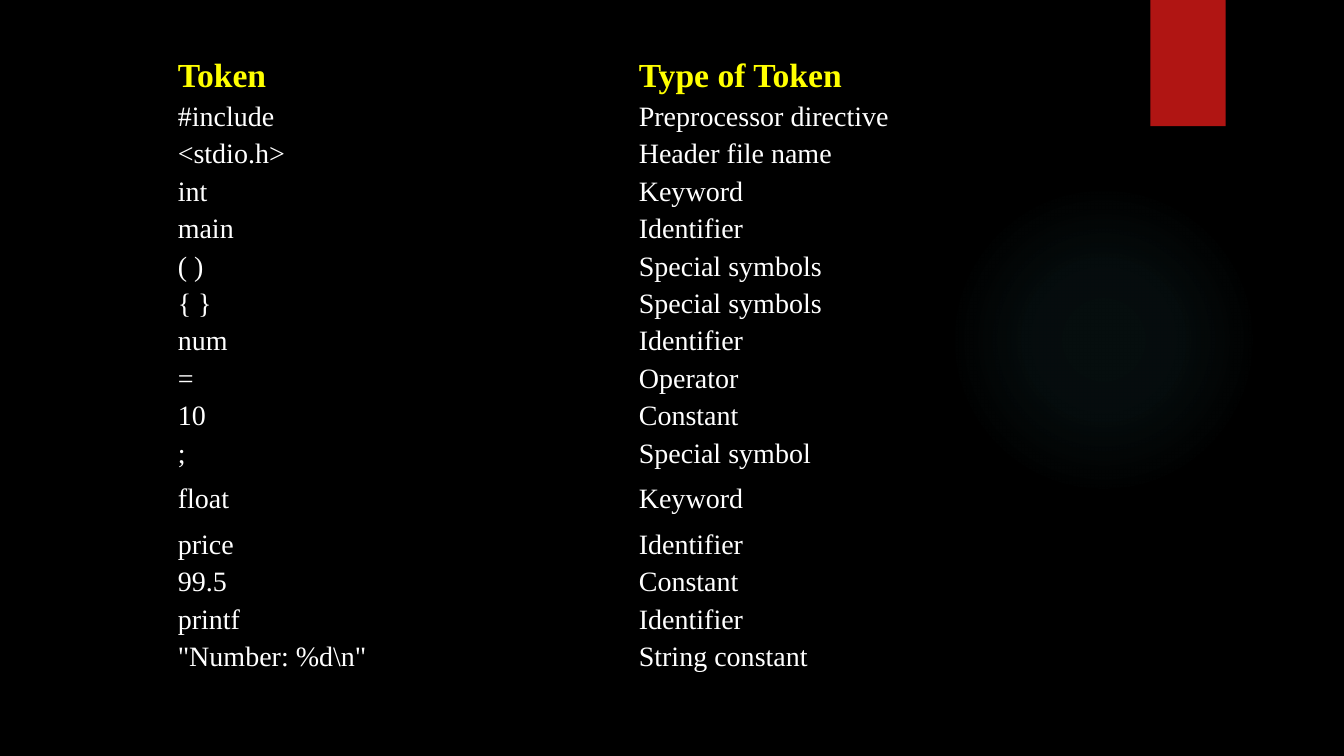
from lxml import etree
from pptx import Presentation
from pptx.dml.color import RGBColor
from pptx.enum.shapes import MSO_SHAPE
from pptx.enum.text import MSO_ANCHOR
from pptx.oxml import parse_xml
from pptx.oxml.ns import qn
from pptx.util import Cm, Pt


def rgb(value):
    return RGBColor.from_string(value)


prs = Presentation()
prs.slide_width, prs.slide_height = Cm(33.87), Cm(19.05)
s = prs.slides.add_slide(prs.slide_layouts[6])
s.background.fill.solid()
s.background.fill.fore_color.rgb = rgb("000000")

glow = s.shapes.add_shape(MSO_SHAPE.OVAL, Cm(23.9), Cm(4.65), Cm(7.82), Cm(7.82))
glow.shadow.inherit = False
glow.line.fill.background()
stops = "".join(
    f'<a:gs pos="{pos}000"><a:srgbClr val="50B9C1"><a:alpha val="{alpha}000"/></a:srgbClr></a:gs>'
    for pos, alpha in [(0, 7), (36, 6), (69, 0)]
)
grad = parse_xml(
    '<a:gradFill xmlns:a="http://schemas.openxmlformats.org/drawingml/2006/main">'
    f'<a:gsLst>{stops}</a:gsLst><a:path path="circle">'
    '<a:fillToRect l="50000" t="50000" r="50000" b="50000"/></a:path></a:gradFill>'
)
glow._element.spPr.find(qn("a:prstGeom")).addnext(grad)

tab = s.shapes.add_shape(MSO_SHAPE.RECTANGLE, Cm(28.99), Cm(0), Cm(1.9), Cm(3.18))
tab.shadow.inherit = False
tab.fill.solid()
tab.fill.fore_color.rgb = rgb("B01513")
tab.line.fill.background()

rows = [
    ("Token", "Type of Token"),
    ("#include", "Preprocessor directive"),
    ("<stdio.h>", "Header file name"),
    ("int", "Keyword"),
    ("main", "Identifier"),
    ("( )", "Special symbols"),
    ("{ }", "Special symbols"),
    ("num", "Identifier"),
    ("=", "Operator"),
    ("10", "Constant"),
    (";", "Special symbol"),
    ("float", "Keyword"),
    ("price", "Identifier"),
    ("99.5", "Constant"),
    ("printf", "Identifier"),
    ('"Number: %d\\n"', "String constant"),
]
frame = s.shapes.add_table(len(rows), 2, Cm(4.32), Cm(1.37), Cm(23.24), Cm(12.75))
table = frame.table
table.horz_banding = False
style = table._tbl.tblPr.find(qn("a:tableStyleId"))
style.text = "{2D5ABB26-0587-4C30-8999-92F81FD0307C}"

for i, row in enumerate(rows):
    table.rows[i].height = Cm(1.35 if row[0] == "float" else 0.76)
    for j, text in enumerate(row):
        cell = table.cell(i, j)
        cell.fill.background()
        cell.vertical_anchor = MSO_ANCHOR.MIDDLE
        cell.margin_left = cell.margin_right = Cm(0.16)
        cell.margin_top = cell.margin_bottom = Cm(0.08)
        cell.text_frame.text = text
        font = cell.text_frame.paragraphs[0].runs[0].font
        font.name = "Times New Roman"
        font.size = Pt(24 if i == 0 else 20)
        font.bold = i == 0
        font.color.rgb = rgb("FFFF00" if i == 0 else "FFFFFF")

prs.save("out.pptx")
